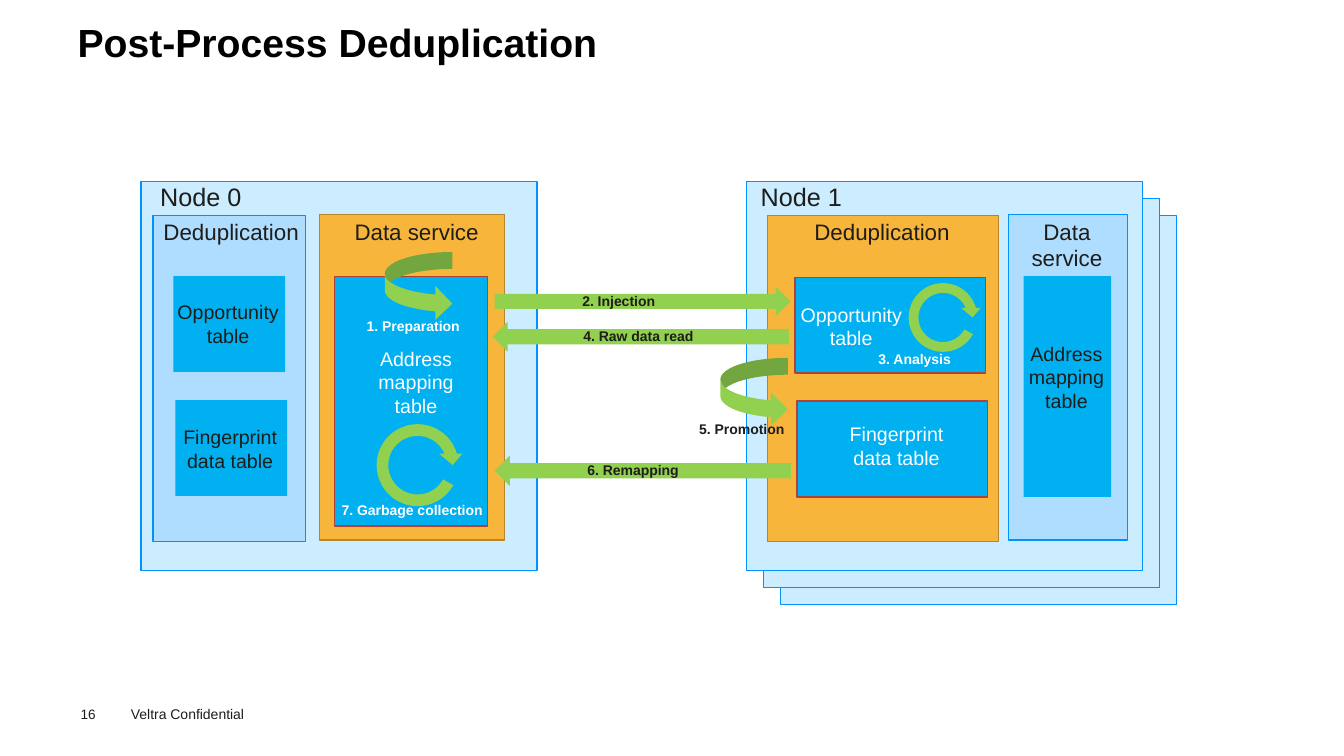
from pptx import Presentation
from pptx.dml.color import RGBColor
from pptx.enum.shapes import MSO_SHAPE
from pptx.enum.text import PP_ALIGN
from pptx.util import Inches, Pt

INK = RGBColor(0x1D, 0x1D, 0x1A)
FOOTER_INK = RGBColor(0x1D, 0x1D, 0x1B)
BLACK = RGBColor(0, 0, 0)
WHITE = RGBColor(0xFF, 0xFF, 0xFF)
NODE_BLUE = RGBColor(0xCC, 0xEC, 0xFF)
IDLE_BLUE = RGBColor(0xAF, 0xDD, 0xFF)
EDGE_BLUE = RGBColor(0x01, 0x92, 0xFF)
ACTIVE_ORANGE = RGBColor(0xF8, 0xB5, 0x3C)
EDGE_ORANGE = RGBColor(0xB7, 0x86, 0x2C)
TABLE_BLUE = RGBColor(0x00, 0xB0, 0xF0)
EDGE_RED = RGBColor(0xAD, 0x42, 0x3A)
GREEN = RGBColor(0x92, 0xD0, 0x50)

TITLE = ("Post-Process Deduplication", 0.77, 0.18, 12.19, 0.47)
FOOTER = [("16", 0.8, 7, 0.55, 0.16, 9.7),
          ("Veltra Confidential", 1.3, 7, 1.6, 0.16, 10)]

NODE_SIZE = (3.93, 3.86)
NODE_TOP = 1.8
NODES = [("Node 0", 1.4, 1, 1.59), ("Node 1", 7.41, 3, 7.55)]
STACK_STEP = 0.17

SERVICE_HEIGHT = 3.23
SERVICES = [
    ("Deduplication", 1.52, 2.14, 1.51, False, 1.61, 1.37),
    ("Deduplication", 7.62, 2.14, 2.29, True, 8.07, 1.37),
    ("Data service", 3.17, 2.13, 1.84, True, 3.42, 1.43),
    ("Data service", 10.01, 2.13, 1.18, False, 10.05, 1.08),
]
SERVICE_LABEL_TOP = 2.16

TABLES = [
    (["Opportunity table"], (1.72, 2.74, 1.11, 0.95), False, (1.73, 2.98, 1.07, 0.48)),
    (["Fingerprint", "data table"], (1.74, 3.97, 1.11, 0.95), False, (1.75, 4.22, 1.07, 0.48)),
    (["Opportunity table"], (7.89, 2.75, 1.89, 0.95), True, (7.92, 3, 1.06, 0.48)),
    (["Fingerprint", "data table"], (7.91, 3.98, 1.89, 0.95), True, (8.32, 4.19, 1.16, 0.48)),
    (["Address mapping table"], (3.32, 2.74, 1.52, 2.48), True, (3.56, 3.44, 1.14, 0.72)),
    (["Address", "mapping", "table"], (10.16, 2.74, 0.87, 2.19), False, (10.19, 3.39, 0.79, 0.72)),
]

CURVE, STRAIGHT, CYCLE = (MSO_SHAPE.CURVED_RIGHT_ARROW, MSO_SHAPE.RIGHT_ARROW,
                          MSO_SHAPE.CIRCULAR_ARROW)
CYCLE_ADJUSTMENTS = (0.125, 11.423, 204.577, 17.45, 0.125)
STEPS = [
    ("1. Preparation", CURVE, (3.82, 2.5, 0.67, 0.68), 0, (3.64, 3.15, 1), WHITE),
    ("2. Injection", STRAIGHT, (4.91, 2.84, 2.94, 0.3), 0, (5.78, 2.9, 0.84), INK),
    ("3. Analysis", CYCLE, (8.97, 2.76, 0.78, 0.78), 0, (8.72, 3.48, 0.84), WHITE),
    ("4. Raw data read", STRAIGHT, (4.89, 3.19, 2.94, 0.3), 180, (5.79, 3.25, 1.45), INK),
    ("5. Promotion", CURVE, (7.15, 3.55, 0.67, 0.68), 0, (6.94, 4.17, 0.9), INK),
    ("6. Remapping", STRAIGHT, (4.91, 4.52, 2.94, 0.3), 180, (5.83, 4.58, 1), INK),
    ("7. Garbage collection", CYCLE, (3.68, 4.15, 0.93, 0.93), 0, (3.39, 4.98, 1.59), WHITE),
]
STEP_LABEL_HEIGHT = 0.17

deck = Presentation()
deck.slide_width, deck.slide_height = Inches(13.34), Inches(7.5)
slide = deck.slides.add_slide(deck.slide_layouts[6])


def add_block(preset, area, fill, edge=None):
    block = slide.shapes.add_shape(preset, *map(Inches, area))
    block.shadow.inherit = False
    block.fill.solid()
    block.fill.fore_color.rgb = fill
    if edge is None:
        block.line.fill.background()
    else:
        block.line.color.rgb = edge
        block.line.width = Pt(1)
    return block


def add_label(lines, area, size, color, bold=False, align=PP_ALIGN.LEFT):
    frame = slide.shapes.add_textbox(*map(Inches, area)).text_frame
    frame_format = {"word_wrap": True, "margin_left": 0, "margin_top": 0,
                    "margin_right": 0, "margin_bottom": 0}
    for key, value in frame_format.items():
        setattr(frame, key, value)
    frame.text = "\n".join(lines)
    for paragraph in frame.paragraphs:
        paragraph.alignment = align
        font_format = {"name": "Arial", "size": Pt(size), "bold": bold}
        for key, value in font_format.items():
            setattr(paragraph.font, key, value)
        paragraph.font.color.rgb = color


for text, left, top, width, height, size in FOOTER:
    add_label([text], (left, top, width, height), size, FOOTER_INK)

for name, left, depth, label_left in NODES:
    for layer in reversed(range(depth)):
        shift = layer * STACK_STEP
        add_block(MSO_SHAPE.RECTANGLE, (left + shift, NODE_TOP + shift, *NODE_SIZE),
                  NODE_BLUE, EDGE_BLUE)
    add_label([name], (label_left, NODE_TOP, 2.42, 0.3), 18, INK)

for name, left, top, width, active, label_left, label_width in SERVICES:
    fill, edge = (ACTIVE_ORANGE, EDGE_ORANGE) if active else (IDLE_BLUE, EDGE_BLUE)
    add_block(MSO_SHAPE.RECTANGLE, (left, top, width, SERVICE_HEIGHT), fill, edge)
    add_label([name], (label_left, SERVICE_LABEL_TOP, label_width, 0.61), 16, INK,
              align=PP_ALIGN.CENTER)

for lines, area, active, label_area in TABLES:
    add_block(MSO_SHAPE.RECTANGLE, area, TABLE_BLUE, EDGE_RED if active else None)
    add_label(lines, label_area, 14, WHITE if active else INK, align=PP_ALIGN.CENTER)

for text, preset, area, rotation, label_place, color in STEPS:
    arrow = add_block(preset, area, GREEN)
    arrow.rotation = rotation
    if preset == CYCLE:
        for index, value in enumerate(CYCLE_ADJUSTMENTS):
            arrow.adjustments[index] = value
    add_label([text], (*label_place, STEP_LABEL_HEIGHT), 10, color, bold=True)

title_text, *title_area = TITLE
add_label([title_text], title_area, 28, BLACK, bold=True)

deck.save("out.pptx")
